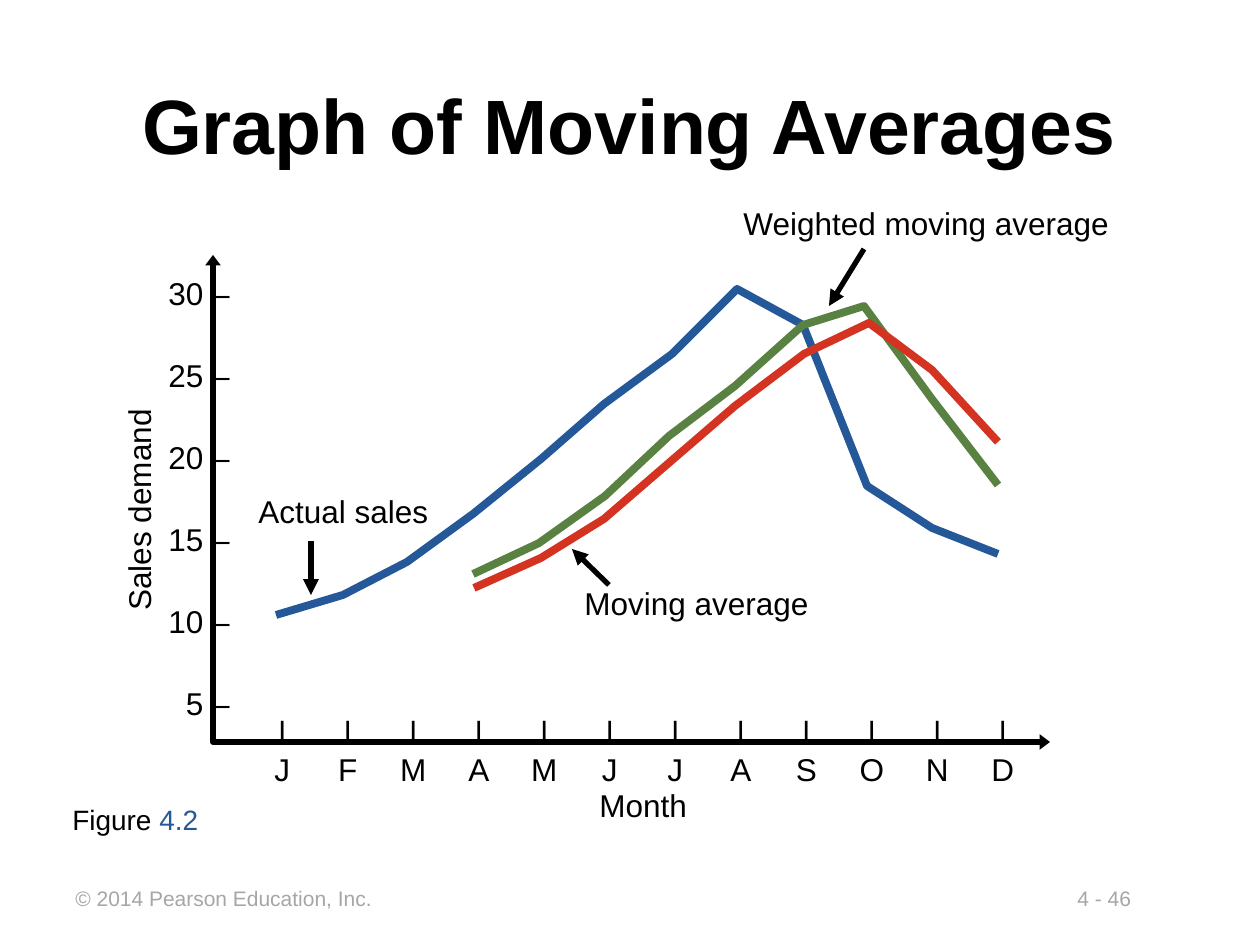
from dataclasses import dataclass

from lxml.etree import SubElement
from pptx import Presentation
from pptx.dml.color import RGBColor
from pptx.enum.shapes import MSO_CONNECTOR
from pptx.enum.text import MSO_ANCHOR, MSO_AUTO_SIZE, PP_ALIGN
from pptx.oxml.ns import qn
from pptx.util import Pt

EMU_PER_PX = 914400 / 126
FONT = "Arial"
BLACK, GRAY, BLUE, GREEN, RED = "000000", "A6A6A6", "255898", "598141", "D33320"
TITLE_ONLY = 5
MONTHS = "JFMAMJJASOND"
FIRST_MONTH, MONTH_STEP = 53, 65.5


@dataclass(frozen=True)
class Span:
    text: str
    size: int = 18
    color: str = BLACK
    bold: bool = False


@dataclass(frozen=True)
class Series:
    color: str
    points: list[tuple[int, int]]


@dataclass(frozen=True)
class Callout:
    text: str
    area: tuple[int, int, int, int]
    start: tuple[int, int]
    end: tuple[int, int]


SERIES = [
    Series(BLUE, [(276, 615), (343, 595), (407, 562), (473, 514), (541, 459), (604, 404),
                  (672, 354), (737, 289), (803, 325), (867, 486), (932, 528), (998, 554)]),
    Series(GREEN, [(473, 574), (539, 543), (605, 496), (669, 436), (735, 386),
                   (803, 325), (864, 306), (932, 399), (998, 485)]),
    Series(RED, [(474, 588), (541, 558), (604, 519), (670, 462), (735, 406),
                 (804, 354), (869, 323), (932, 370), (998, 442)]),
]
CALLOUTS = [
    Callout("Actual sales", (246, 492, 200, 45), (311, 541), (311, 595)),
    Callout("Moving average", (572, 584, 292, 45), (609, 585), (572, 549)),
    Callout("Weighted moving average", (731, 204, 399, 45), (864, 249), (829, 306)),
]


def px(length: float) -> int:
    return round(length * EMU_PER_PX)


def rgb(color: str) -> RGBColor:
    return RGBColor.from_string(color)


def add_span(para, span: Span) -> None:
    run = para.add_run()
    run.text = span.text
    run.font.name = FONT
    run.font.size = Pt(span.size)
    run.font.bold = span.bold
    run.font.color.rgb = rgb(span.color)


def set_centre_tabs(para, positions: list[float]) -> None:
    tab_list = SubElement(para._p.get_or_add_pPr(), qn("a:tabLst"))
    for position in positions:
        SubElement(tab_list, qn("a:tab"), pos=str(px(position)), algn="ctr")


def add_text(page, area: tuple[int, int, int, int], *lines: list[Span], spacing: float = 1.0,
             align=PP_ALIGN.LEFT, wrap: bool = False, rotation: int = 0, tabs=()) -> None:
    """Add a text box with one paragraph for each list of spans."""
    box = page.shapes.add_textbox(*map(px, area))
    box.rotation = rotation
    frame = box.text_frame
    frame.word_wrap = wrap
    frame.auto_size = MSO_AUTO_SIZE.SHAPE_TO_FIT_TEXT
    for index, spans in enumerate(lines):
        para = frame.add_paragraph() if index else frame.paragraphs[0]
        if tabs:
            set_centre_tabs(para, tabs)
        para.alignment = align
        para.line_spacing = spacing
        for span in spans:
            add_span(para, span)


def style_line(line, color: str, width: float) -> None:
    line.color.rgb = rgb(color)
    line.width = Pt(width)


def add_arrowhead(line, end: str, length: str = "med") -> None:
    SubElement(line._get_or_add_ln(), qn(f"a:{end}"), type="triangle", w="med", len=length)


def add_polyline(page, points: list[tuple[int, int]], color: str, width: float):
    builder = page.shapes.build_freeform(*points[0], scale=EMU_PER_PX)
    builder.add_line_segments(points[1:], close=False)
    outline = builder.convert_to_shape()
    outline.shadow.inherit = False
    outline.fill.background()
    style_line(outline.line, color, width)
    return outline


def add_callout(page, callout: Callout) -> None:
    add_text(page, callout.area, [Span(callout.text)], spacing=0.85, wrap=True)
    ends = map(px, callout.start + callout.end)
    arrow = page.shapes.add_connector(MSO_CONNECTOR.STRAIGHT, *ends)
    SubElement(arrow._element.spPr, qn("a:effectLst"))
    style_line(arrow.line, BLACK, 3)
    add_arrowhead(arrow.line, "tailEnd")


def add_title(page, text: str) -> None:
    title = page.shapes.title
    title.left, title.top, title.width, title.height = map(px, (94, 60, 1071, 127))
    frame = title.text_frame
    frame.auto_size = MSO_AUTO_SIZE.NONE
    frame.vertical_anchor = MSO_ANCHOR.MIDDLE
    para = frame.paragraphs[0]
    para.alignment = PP_ALIGN.CENTER
    add_span(para, Span(text, size=44, bold=True))


def add_axes(page) -> None:
    ticks = Span("\t|" * len(MONTHS), size=12, bold=True)
    names = Span("".join(f"\t{month}" for month in MONTHS))
    tabs = [FIRST_MONTH + MONTH_STEP * index for index in range(len(MONTHS))]
    add_text(page, (217, 703, 820, 92), [ticks], [names], spacing=1.25, wrap=True, tabs=tabs)

    axes = add_polyline(page, [(213, 255), (213, 742), (1050, 742)], BLACK, 3)
    for end in ("headEnd", "tailEnd"):
        add_arrowhead(axes.line, end, length="sm")

    add_text(page, (20, 485, 237, 50), [Span("Sales demand")],
             align=PP_ALIGN.CENTER, rotation=270)
    values = [[Span(f"{value} –")] for value in range(30, 0, -5)]
    add_text(page, (142, 224, 100, 505), *values, spacing=2.17, align=PP_ALIGN.RIGHT, wrap=True)
    add_text(page, (587, 780, 126, 50), [Span("Month")], wrap=True)


def main() -> None:
    deck = Presentation()
    deck.slide_width, deck.slide_height = px(1260), px(945)
    page = deck.slides.add_slide(deck.slide_layouts[TITLE_ONLY])
    add_text(page, (1065, 879, 151, 38), [Span("4 - 46", 12, GRAY)], wrap=True)
    add_text(page, (63, 879, 340, 38), [Span("© 2014 Pearson Education, Inc.", 12, GRAY)],
             wrap=True)
    add_title(page, "Graph of Moving Averages")
    add_axes(page)
    for callout in CALLOUTS:
        add_callout(page, callout)
    for series in SERIES:
        add_polyline(page, series.points, series.color, 4.5)
    add_text(page, (60, 796, 160, 47), [Span("Figure ", 16), Span("4.2", 16, BLUE)], wrap=True)
    deck.save("out.pptx")


if __name__ == "__main__":
    main()
